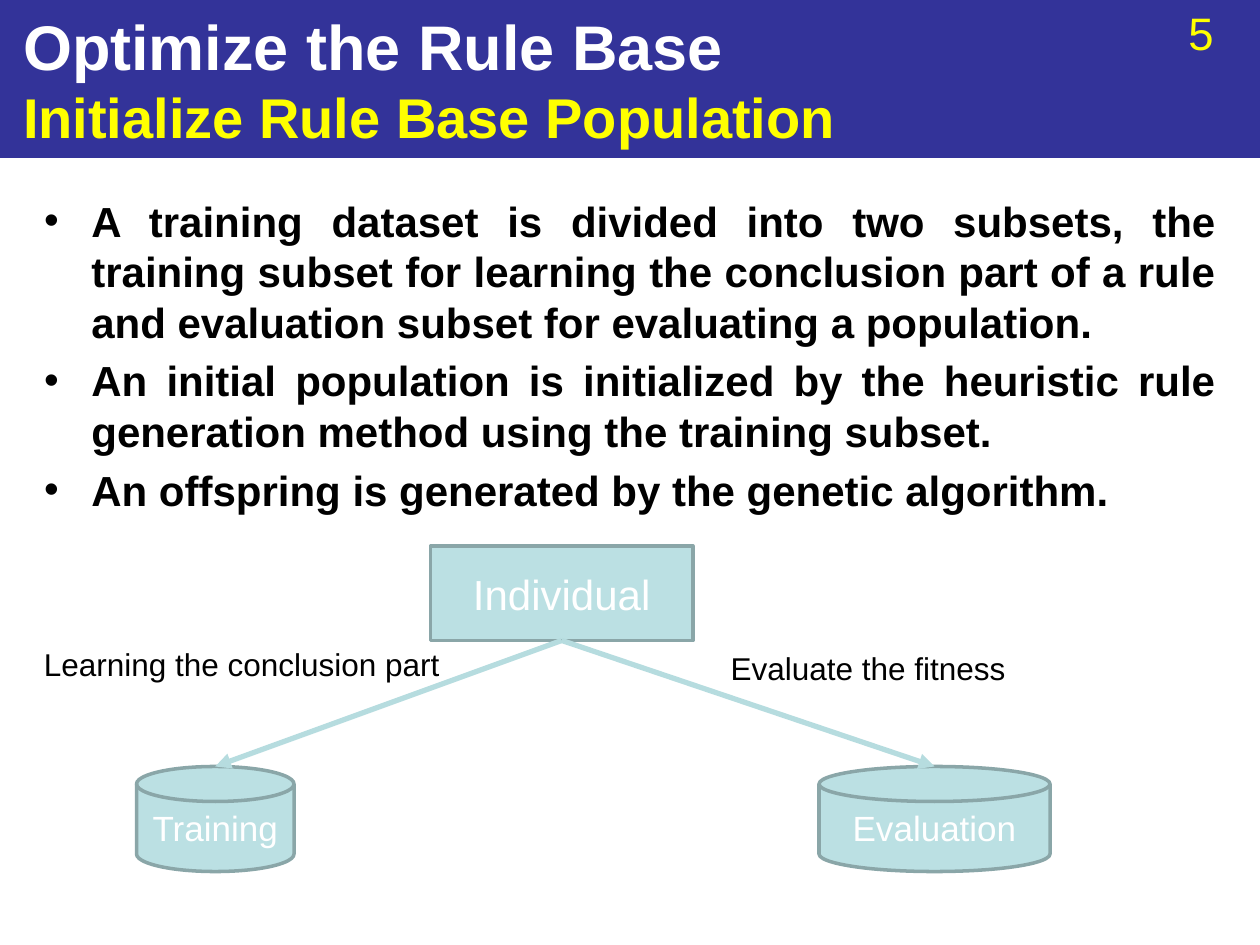
"""Build the slide on initializing a rule base population."""
from dataclasses import dataclass

from lxml import etree
from pptx import Presentation
from pptx import util as u
from pptx.dml.color import RGBColor
from pptx.enum import shapes, text
from pptx.oxml.ns import qn

COLUMNS, ROWS = 120, 90
WIDTH, HEIGHT = u.Inches(10), u.Inches(7.5)


@dataclass(frozen=True)
class Theme:
    font: str = "Arial"
    banner: str = "333399"
    light: str = "FFFFFF"
    accent: str = "FFFF00"
    ink: str = "000000"
    node: str = "BBE0E3"
    edge: str = "8AA6A8"
    arrow: str = "B6DCDF"
    title: int = 36
    subtitle: int = 32
    number: int = 26
    body: int = 24
    data: int = 20
    label: int = 18


THEME = Theme()
BULLETS = (
    "A training dataset is divided into two subsets, the training subset for learning "
    "the conclusion part of a rule and evaluation subset for evaluating a population.",
    "An initial population is initialized by the heuristic rule generation method "
    "using the training subset.",
    "An offspring is generated by the genetic algorithm.",
)


def grid(left, top, width, height):
    return (round(left * WIDTH / COLUMNS), round(top * HEIGHT / ROWS),
            round(width * WIDTH / COLUMNS), round(height * HEIGHT / ROWS))


def write(para, words, size, color, bold=False, align=text.PP_ALIGN.LEFT):
    para.alignment = align
    span = para.add_run()
    span.text = words
    span.font.name = THEME.font
    span.font.size = u.Pt(size)
    span.font.bold = bold
    span.font.color.rgb = RGBColor.from_string(color)


def place(shape, cell):
    shape.left, shape.top, shape.width, shape.height = grid(*cell)


def add_block(page, kind, cell, fill, line, weight):
    block = page.shapes.add_shape(kind, *grid(*cell))
    block.shadow.inherit = False
    block.fill.solid()
    block.fill.fore_color.rgb = RGBColor.from_string(fill)
    block.line.color.rgb = RGBColor.from_string(line)
    block.line.width = u.Pt(weight)
    return block


def add_node(page, kind, cell, words, size):
    node = add_block(page, kind, cell, THEME.node, THEME.edge, 2)
    node.text_frame.word_wrap = True
    node.text_frame.vertical_anchor = text.MSO_ANCHOR.MIDDLE
    write(node.text_frame.paragraphs[0], words, size, THEME.light,
          align=text.PP_ALIGN.CENTER)
    return node


def add_arrow(page, source, target):
    arrow = page.shapes.add_connector(
        shapes.MSO_CONNECTOR.STRAIGHT,
        source.left + source.width // 2, source.top + source.height,
        target.left + target.width // 2, target.top)
    arrow.line.color.rgb = RGBColor.from_string(THEME.arrow)
    arrow.line.width = u.Pt(3)
    etree.SubElement(arrow.line._get_or_add_ln(), qn("a:tailEnd"), type="triangle")
    etree.SubElement(arrow.element.spPr, qn("a:effectLst"))


def add_label(page, cell, words, size, color):
    box = page.shapes.add_textbox(*grid(*cell))
    box.text_frame.word_wrap = False
    write(box.text_frame.paragraphs[0], words, size, color)


def add_header(page):
    title = page.shapes.title
    place(title, (1, 0, 108, 15))
    title.text_frame.auto_size = text.MSO_AUTO_SIZE.NONE
    title.text_frame.vertical_anchor = text.MSO_ANCHOR.MIDDLE
    para = title.text_frame.paragraphs[0]
    write(para, "Optimize the Rule Base", THEME.title, THEME.light, bold=True)
    para.add_line_break()
    write(para, "Initialize Rule Base Population", THEME.subtitle, THEME.accent, bold=True)
    banner = add_block(page, shapes.MSO_SHAPE.RECTANGLE, (0, 0, COLUMNS, 15),
                       THEME.banner, THEME.banner, 0.75)
    title.element.addprevious(banner.element)
    add_label(page, (112, -0.1, 8, 6.5), "5", THEME.number, THEME.accent)


def add_bullets(page):
    body = page.placeholders[1]
    place(body, (3, 18, 114, 68))
    frame = body.text_frame
    frame.auto_size = text.MSO_AUTO_SIZE.NONE
    for index, words in enumerate(BULLETS):
        para = frame.add_paragraph() if index else frame.paragraphs[0]
        para.space_before = u.Pt(THEME.body * 0.2)
        write(para, words, THEME.body, THEME.ink, bold=True, align=text.PP_ALIGN.JUSTIFY)


def add_diagram(page):
    individual = add_node(page, shapes.MSO_SHAPE.RECTANGLE, (41, 52, 25, 9),
                          "Individual", THEME.body)
    disk = shapes.MSO_SHAPE.FLOWCHART_MAGNETIC_DISK
    datasets = [add_node(page, disk, (left, 73, width, 10), words, THEME.data)
                for left, width, words in ((13, 15, "Training"), (78, 22, "Evaluation"))]
    for dataset in datasets:
        add_arrow(page, individual, dataset)
    add_label(page, (3, 60.8, 41.3, 4.8), "Learning the conclusion part",
              THEME.label, THEME.ink)
    add_label(page, (68.4, 61.2, 28.8, 4.8), "Evaluate the fitness",
              THEME.label, THEME.ink)


def main():
    deck = Presentation()
    deck.slide_width, deck.slide_height = WIDTH, HEIGHT
    page = deck.slides.add_slide(deck.slide_layouts[1])
    add_header(page)
    add_bullets(page)
    add_diagram(page)
    deck.save("out.pptx")


main()
